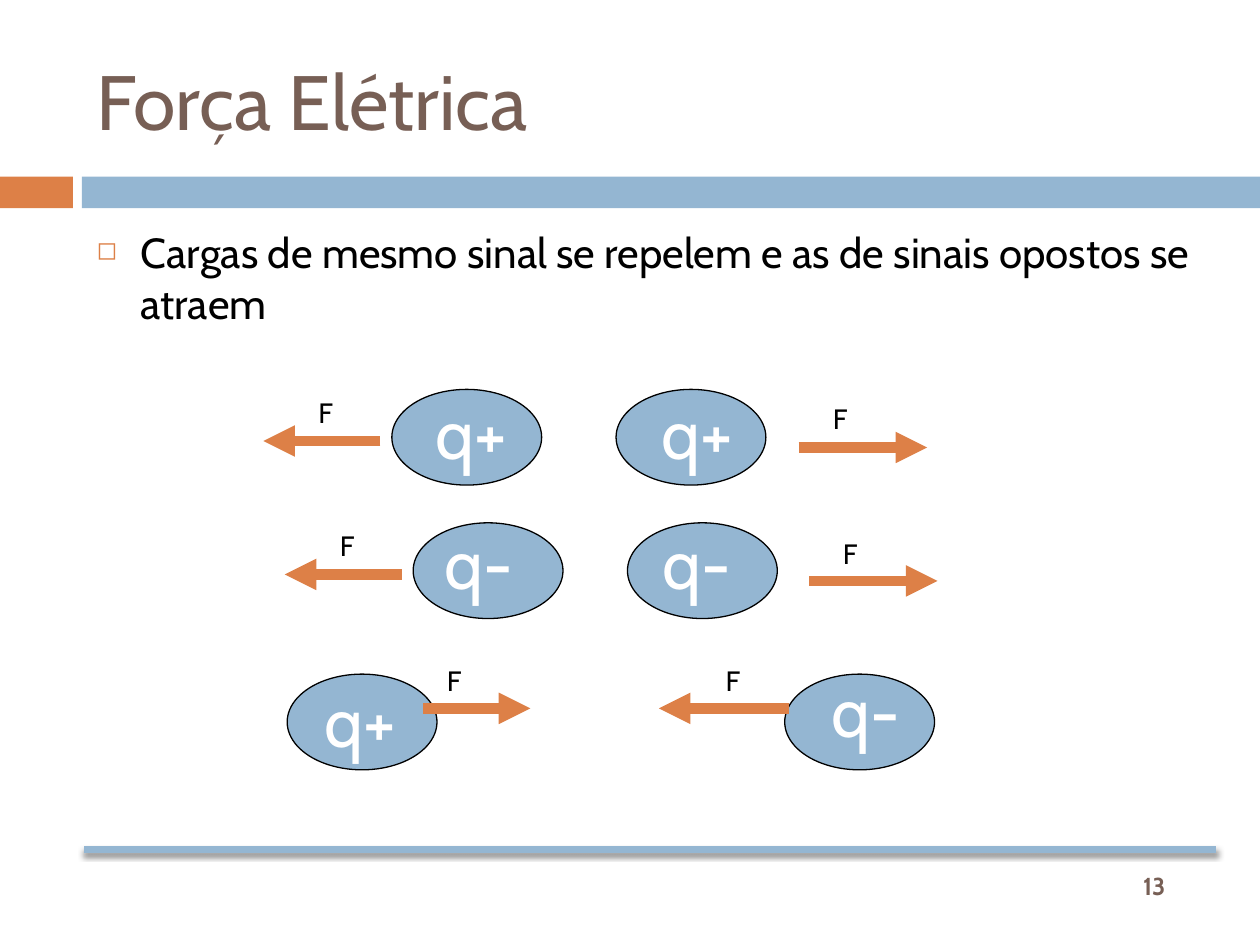
from lxml.etree import SubElement
from pptx import Presentation
from pptx.dml.color import RGBColor
from pptx.enum.shapes import MSO_CONNECTOR, MSO_SHAPE
from pptx.enum.text import MSO_ANCHOR, MSO_AUTO_SIZE, PP_ALIGN
from pptx.oxml.ns import qn
from pptx.util import Cm, Pt

BLUE = RGBColor(0x94, 0xB6, 0xD2)
ORANGE = RGBColor(0xDD, 0x80, 0x47)
BROWN = RGBColor(0x77, 0x5F, 0x55)
BLACK = RGBColor(0x00, 0x00, 0x00)
WHITE = RGBColor(0xFF, 0xFF, 0xFF)

TITLE = {"size": Pt(44), "color": BROWN}
BODY = {"size": Pt(24), "color": BLACK}
NUMBER = {"size": Pt(14), "color": BROWN, "bold": True}
CHARGE = {"size": Pt(40), "color": WHITE}
FORCE = {"size": Pt(16), "color": BLACK}

deck = Presentation()
deck.slide_width, deck.slide_height = Cm(25.4), Cm(19.05)
page = deck.slides.add_slide(deck.slide_layouts[6])


def add_text(text, left, top, width, height, style, **frame_format):
    box = page.shapes.add_textbox(Cm(left), Cm(top), Cm(width), Cm(height))
    for name, value in {"word_wrap": True, **frame_format}.items():
        setattr(box.text_frame, name, value)
    para = box.text_frame.paragraphs[0]
    span = para.add_run()
    span.text = text
    span.font.name = "Cabin"
    for name, value in style.items():
        if name == "color":
            span.font.color.rgb = value
        else:
            setattr(span.font, name, value)
    return para


def add_line(start_x, end_x, y, color, width):
    line = page.shapes.add_connector(
        MSO_CONNECTOR.STRAIGHT, Cm(start_x), Cm(y), Cm(end_x), Cm(y))
    line.line.color.rgb = color
    line.line.width = Pt(width)
    effects = SubElement(line.line._get_or_add_ln().getparent(), qn("a:effectLst"))
    return line, effects


# Header band
for left, width, color in [(0, 1.47, ORANGE), (1.65, 23.75, BLUE)]:
    band = page.shapes.add_shape(
        MSO_SHAPE.RECTANGLE, Cm(left), Cm(3.56), Cm(width), Cm(0.64))
    band.shadow.inherit = False
    band.fill.solid()
    band.fill.fore_color.rgb = color
    band.line.fill.background()

# Footer rule with a soft shadow
rule, effects = add_line(1.7, 24.51, 17.12, BLUE, 3.75)
shadow = SubElement(effects, qn("a:outerShdw"), blurRad=str(Pt(3)),
                    dist=str(Pt(2.4)), dir="5400000", rotWithShape="0")
shade = SubElement(shadow, qn("a:srgbClr"), val=str(BLACK))
SubElement(shade, qn("a:alpha"), val="45000")

# Title, bullet and page number
add_text("Força Elétrica", 1.7, 0.64, 22.66, 2.74, TITLE,
         vertical_anchor=MSO_ANCHOR.MIDDLE)
bullet = add_text("Cargas de mesmo sinal se repelem e as de sinais opostos se atraem",
                  1.7, 4.45, 22.66, 12.67, BODY)
bullet_format = bullet._p.get_or_add_pPr()
bullet_format.set("marL", str(Cm(0.89)))
bullet_format.set("indent", str(Cm(-0.89)))
SubElement(SubElement(bullet_format, qn("a:buClr")), qn("a:srgbClr"), val=str(ORANGE))
SubElement(bullet_format, qn("a:buSzPct"), val="60000")
SubElement(bullet_format, qn("a:buChar"), char="◻")
number = add_text("13", 22.1, 17.32, 2.34, 1.07, NUMBER,
                  vertical_anchor=MSO_ANCHOR.MIDDLE)
number.alignment = PP_ALIGN.CENTER

# Charges: ellipse corner, label text, label corner
charges = [
    (7.9, 7.85, "q+", 8.53, 7.72),
    (12.42, 7.85, "q+", 13.08, 7.72),
    (8.33, 10.54, "q-", 8.71, 10.34),
    (12.65, 10.54, "q-", 13.11, 10.34),
    (5.79, 13.59, "q+", 6.3, 13.54),
    (15.82, 13.59, "q-", 16.51, 13.34),
]
for left, top, label, label_left, label_top in charges:
    charge = page.shapes.add_shape(
        MSO_SHAPE.OVAL, Cm(left), Cm(top), Cm(3.02), Cm(1.93))
    charge.shadow.inherit = False
    charge.fill.solid()
    charge.fill.fore_color.rgb = BLUE
    charge.line.color.rgb = BLACK
    charge.line.width = Pt(0.75)
    add_text(label, label_left, label_top, 2.13, 1.96, CHARGE,
             word_wrap=label == "q-", auto_size=MSO_AUTO_SIZE.SHAPE_TO_FIT_TEXT)

# Forces: arrow start, arrow end, arrow height, label corner
forces = [
    (7.67, 5.31, 8.89, 6.17, 7.85),
    (16.1, 18.69, 9.02, 16.54, 7.98),
    (8.1, 5.74, 11.58, 6.6, 10.54),
    (16.31, 18.9, 11.71, 16.74, 10.69),
    (8.53, 10.69, 14.28, 8.76, 13.26),
    (15.9, 13.28, 14.28, 14.38, 13.26),
]
for start_x, end_x, y, label_left, label_top in forces:
    arrow, effects = add_line(start_x, end_x, y, ORANGE, 6)
    SubElement(arrow.line._get_or_add_ln(), qn("a:tailEnd"), type="triangle")
    add_text("F", label_left, label_top, 1.3, 1.04, FORCE,
             auto_size=MSO_AUTO_SIZE.SHAPE_TO_FIT_TEXT)

deck.save("out.pptx")
